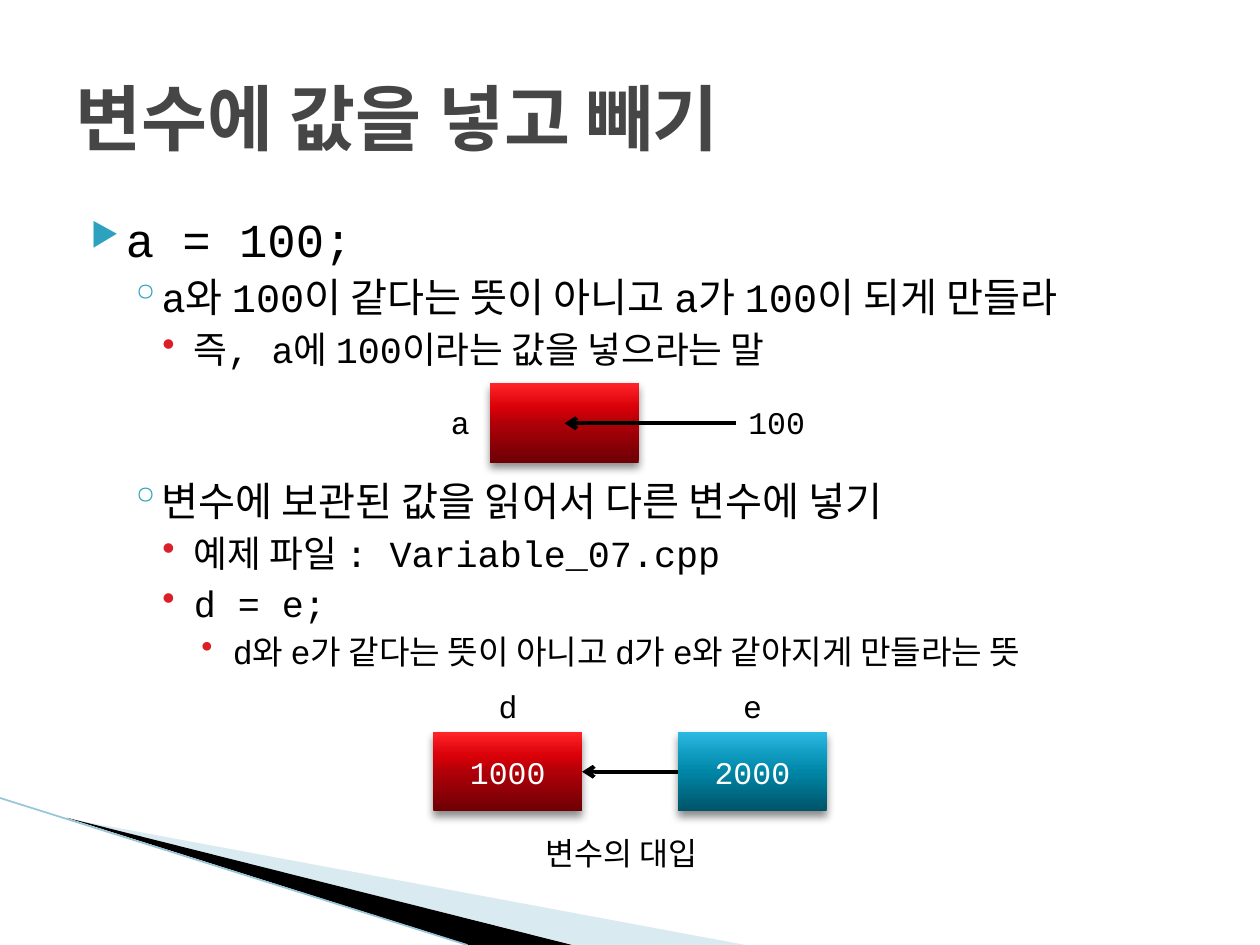
from dataclasses import dataclass

from lxml.etree import SubElement
from pptx import Presentation
from pptx.dml.color import RGBColor
from pptx.enum.shapes import MSO_CONNECTOR, MSO_SHAPE
from pptx.enum.text import MSO_ANCHOR, MSO_AUTO_SIZE, PP_ALIGN
from pptx.oxml.ns import qn
from pptx.util import Pt


@dataclass(frozen=True)
class Theme:
    font: str = "Courier New"
    ink: str = "000000"
    heading: str = "464646"
    light: str = "FFFFFF"
    accent: str = "2DA2BF"
    alert: str = "DA1F28"
    pale: str = "A0CBDC"
    edge: str = "97C5D8"
    red: tuple = ((0, "6D0005"), (50, "B00008"), (70, "DA0008"), (100, "FF2429"))
    blue: tuple = ((0, "005367"), (50, "0086A7"), (70, "0E9ABE"), (100, "2CB9E3"))
    title_size: int = 41
    label_size: int = 18


THEME = Theme()

# Outline levels: text size, indent, hanging, space before, bullet, its colour and size
LEVELS = [
    (27, 28.8, 20, 4, "▶", THEME.accent, 68),
    (23, 49, 18, 3.2, "◦", THEME.accent, 100),
    (21, 67.7, 18, 3.5, "•", THEME.alert, 100),
    (19, 90, 18, 3.5, "•", THEME.alert, 100),
]
DIAGRAM_GAP = 60  # room left in the outline for the first diagram
OUTLINE = [
    (0, "a = 100;", 0),
    (1, "a와 100이 같다는 뜻이 아니고 a가 100이 되게 만들라", 0),
    (2, "즉, a에 100이라는 값을 넣으라는 말", 0),
    (1, "변수에 보관된 값을 읽어서 다른 변수에 넣기", DIAGRAM_GAP),
    (2, "예제 파일 : Variable_07.cpp", 0),
    (2, "d = e;", 0),
    (3, "d와 e가 같다는 뜻이 아니고 d가 e와 같아지게 만들라는 뜻", 0),
]
BOX_WIDTH, BOX_HEIGHT = 85, 45.4


def apply(target, formats):
    for name, value in formats.items():
        setattr(target, name, value)


def write(paragraph, text, size, color=THEME.ink, bold=False):
    run = paragraph.add_run()
    run.text = text
    apply(run.font, {"name": THEME.font, "size": Pt(size), "bold": bold})
    run.font.color.rgb = RGBColor.from_string(color)


def add_color(parent, color, alpha=100):
    node = SubElement(parent, qn("a:srgbClr"), val=color)
    if alpha < 100:
        SubElement(node, qn("a:alpha"), val=str(alpha * 1000))


def add_wedge(slide, points, color, alpha=100):
    start, *rest = [(Pt(x), Pt(y)) for x, y in points]
    builder = slide.shapes.build_freeform(*start)
    builder.add_line_segments(rest, close=True)
    wedge = builder.convert_to_shape()
    wedge.shadow.inherit = False
    wedge.line.fill.background()
    wedge.fill.solid()
    wedge.fill.fore_color.rgb = RGBColor.from_string(color)
    if alpha < 100:
        rgb = wedge.fill._xPr.find(".//" + qn("a:srgbClr"))
        SubElement(rgb, qn("a:alpha"), val=str(alpha * 1000))


def add_line(slide, start, end, color, width, arrow=False):
    line = slide.shapes.add_connector(
        MSO_CONNECTOR.STRAIGHT, *(Pt(v) for v in (*start, *end)))
    line.line.color.rgb = RGBColor.from_string(color)
    line.line.width = Pt(width)
    if arrow:
        SubElement(line.line._get_or_add_ln(), qn("a:tailEnd"), type="arrow")
    SubElement(line._element.spPr, qn("a:effectLst"))


def add_title(slide, text):
    title = slide.shapes.title
    apply(title, {"left": Pt(36), "top": Pt(21.6), "width": Pt(648), "height": Pt(90)})
    apply(title.text_frame, {"auto_size": MSO_AUTO_SIZE.NONE,
                             "vertical_anchor": MSO_ANCHOR.MIDDLE})
    heading = title.text_frame.paragraphs[0]
    heading.alignment = PP_ALIGN.LEFT
    write(heading, text, THEME.title_size, THEME.heading, True)


def add_outline(slide, items):
    frame = slide.shapes.add_textbox(Pt(36), Pt(116.6), Pt(648), Pt(356.4)).text_frame
    frame.word_wrap = True
    for index, (level, text, gap) in enumerate(items):
        size, indent, hanging, before, bullet, color, percent = LEVELS[level]
        item = frame.add_paragraph() if index else frame.paragraphs[0]
        apply(item, {"level": level, "space_before": Pt(gap or before)})
        props = item._p.get_or_add_pPr()
        props.set("marL", str(Pt(indent)))
        props.set("indent", str(-Pt(hanging)))
        add_color(SubElement(props, qn("a:buClr")), color)
        SubElement(props, qn("a:buSzPct"), val=str(percent * 1000))
        SubElement(props, qn("a:buChar"), char=bullet)
        write(item, text, size)


def add_label(slide, text, left, top, width):
    frame = slide.shapes.add_textbox(Pt(left), Pt(top), Pt(width), Pt(29)).text_frame
    apply(frame, {"word_wrap": False, "auto_size": MSO_AUTO_SIZE.SHAPE_TO_FIT_TEXT})
    write(frame.paragraphs[0], text, THEME.label_size)


def add_variable(slide, left, top, stops, value=""):
    box = slide.shapes.add_shape(
        MSO_SHAPE.RECTANGLE, Pt(left), Pt(top), Pt(BOX_WIDTH), Pt(BOX_HEIGHT))
    box.line.fill.background()
    box.fill.gradient()
    box.fill.gradient_angle = 90
    stop_list = box._element.spPr.find(".//" + qn("a:gsLst"))
    stop_list.clear()
    for position, color in stops:
        add_color(SubElement(stop_list, qn("a:gs"), pos=str(position * 1000)), color)
    box.shadow.inherit = False
    shadow = SubElement(
        box._element.spPr.find(qn("a:effectLst")), qn("a:outerShdw"),
        blurRad=str(Pt(5)), dist=str(Pt(3)), dir="5400000", rotWithShape="0")
    add_color(shadow, THEME.ink, 45)
    if value:
        box.text_frame.vertical_anchor = MSO_ANCHOR.MIDDLE
        content = box.text_frame.paragraphs[0]
        content.alignment = PP_ALIGN.CENTER
        write(content, value, THEME.label_size, THEME.light)


def main():
    deck = Presentation()
    apply(deck, {"slide_width": Pt(720), "slide_height": Pt(540)})
    slide = deck.slides.add_slide(deck.slide_layouts[5])

    # Corner decoration
    add_wedge(slide, [(39.6, 468), (426, 540), (328, 540)], THEME.pale, 40)
    add_wedge(slide, [(38.2, 467.3), (327, 540), (268, 540)], THEME.ink)
    add_line(slide, (0, 456), (267, 540), THEME.edge, 0.95)

    # Title and outline
    add_title(slide, "변수에 값을 넣고 빼기")
    add_outline(slide, OUTLINE)

    # Storing 100 in a
    add_label(slide, "a", 250.6, 226.8, 24.5)
    add_variable(slide, 280, 219, THEME.red)
    add_line(slide, (420.5, 241.9), (322.6, 241.9), THEME.ink, 2.25, arrow=True)
    add_label(slide, "100", 420.5, 226.8, 49)

    # Assigning e to d
    d_left, e_left, top = 247.6, 387.4, 418.3
    middle = top + BOX_HEIGHT / 2
    add_label(slide, "e", e_left + 30.2, 388.8, 24.5)
    add_variable(slide, d_left, top, THEME.red, "1000")
    add_line(slide, (e_left, middle), (d_left + BOX_WIDTH, middle),
             THEME.ink, 2.25, arrow=True)
    add_variable(slide, e_left, top, THEME.blue, "2000")
    add_label(slide, "d", d_left + 30.3, 388.8, 25.9)
    add_label(slide, "변수의 대입", 304.6, 473, 110.9)

    deck.save("out.pptx")


if __name__ == "__main__":
    main()
